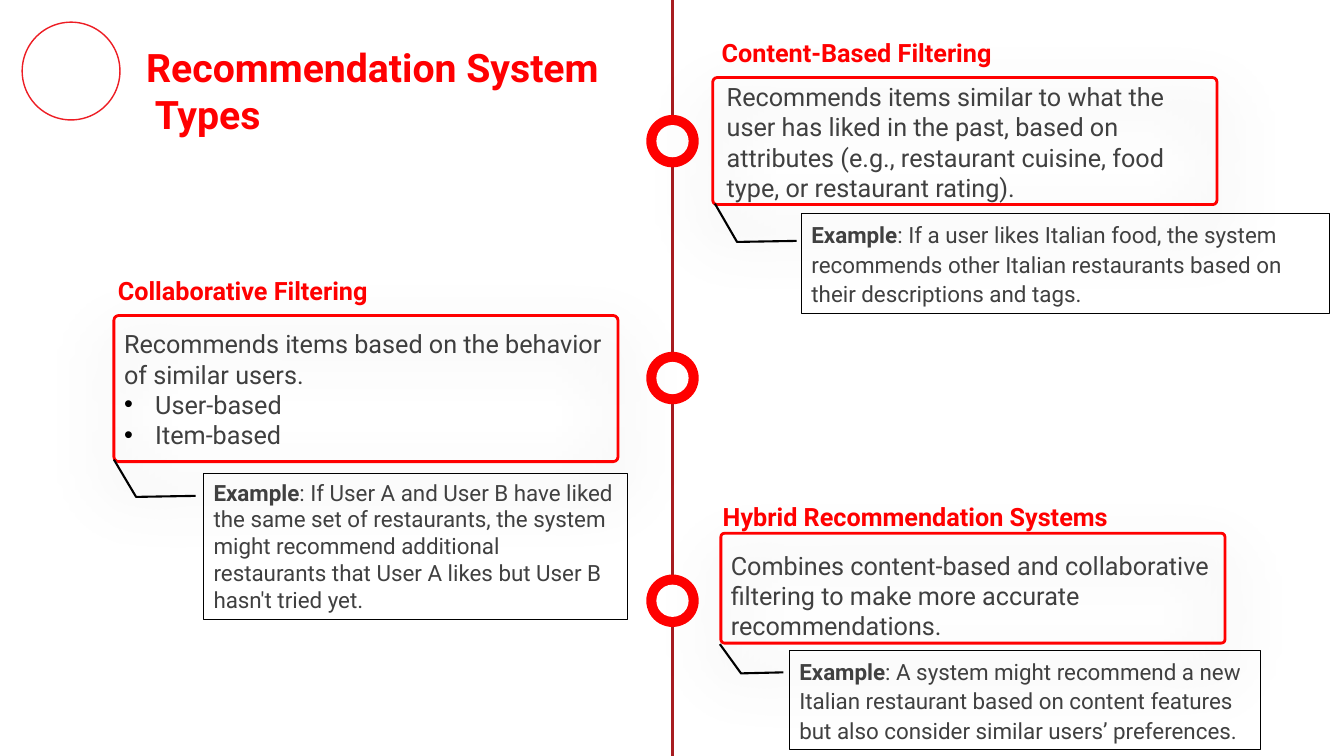
from lxml import etree
from pptx import Presentation
from pptx.dml.color import RGBColor
from pptx.enum.shapes import MSO_CONNECTOR, MSO_SHAPE
from pptx.enum.text import MSO_ANCHOR, MSO_AUTO_SIZE, PP_ALIGN
from pptx.oxml.ns import qn
from pptx.util import Pt

PX = 9144  # EMU per px, 100 px to the inch
RED = RGBColor(0xFF, 0x00, 0x00)
TITLE_RED = RGBColor(0xFF, 0x00, 0x01)
RING_RED = RGBColor(0xED, 0x1D, 0x24)
AXIS_RED = RGBColor(0xA7, 0x1C, 0x20)
GREY = RGBColor(0x40, 0x40, 0x40)
BLACK = RGBColor(0x00, 0x00, 0x00)
WHITE = RGBColor(0xFF, 0xFF, 0xFF)
OVAL, RECT, ROUNDED = MSO_SHAPE.OVAL, MSO_SHAPE.RECTANGLE, MSO_SHAPE.ROUNDED_RECTANGLE
STRAIGHT = MSO_CONNECTOR.STRAIGHT
LEFT, TOP, NO_FIT = PP_ALIGN.LEFT, MSO_ANCHOR.TOP, MSO_AUTO_SIZE.NONE
BULLET_INDENT = 31


class SlideBuilder:
    """Holds the style and the current slide."""

    font = "Roboto"

    def __init__(self, slide):
        self.slide = slide
        self.shapes = slide.shapes

    def shape(self, kind, box, fill=None, line=None, width=1):
        shape = self.shapes.add_shape(kind, *(v * PX for v in box))
        shape.shadow.inherit = False
        self.paint(shape, fill, line, width)
        return shape

    def paint(self, shape, fill, line, width):
        for part, color in ((shape.fill, fill), (shape.line.fill, line)):
            if color is None:
                part.background()
            else:
                part.solid()
                part.fore_color.rgb = color
        if line is not None:
            shape.line.width = Pt(width)

    def axis(self, x, top, bottom):
        axis = self.shapes.add_connector(STRAIGHT, x * PX, top * PX, x * PX, bottom * PX)
        axis.line.color.rgb = AXIS_RED
        axis.line.width = Pt(2)
        etree.SubElement(axis._element.spPr, qn("a:effectLst"))

    def marker(self, x, y):
        for radius, color in ((26, RED), (16, WHITE)):
            self.shape(OVAL, (x - radius, y - radius, 2 * radius, 2 * radius), color)

    def panel(self, box):
        panel = self.shape(ROUNDED, box, line=RED, width=2)
        panel.adjustments[0] = 0.033
        effects = panel._element.spPr.find(qn("a:effectLst"))
        shadow = etree.SubElement(effects, qn("a:outerShdw"), blurRad=str(Pt(46)),
                                  dist=str(Pt(19)), dir="5400000", rotWithShape="0")
        color = etree.SubElement(shadow, qn("a:srgbClr"), val=str(BLACK))
        etree.SubElement(color, qn("a:alpha"), val="40000")

    def leader(self, points):
        start, *rest = points
        builder = self.shapes.build_freeform(*start, scale=PX)
        builder.add_line_segments(rest, close=False)
        leader = builder.convert_to_shape()
        leader.shadow.inherit = False
        self.paint(leader, None, BLACK, 1.5)

    def frame(self, shape, inset=5):
        frame = shape.text_frame
        frame.word_wrap = True
        frame.auto_size = NO_FIT
        frame.vertical_anchor = TOP
        frame.margin_left = frame.margin_right = 10 * PX
        frame.margin_top = frame.margin_bottom = inset * PX
        return frame

    def format(self, paragraph, size, color, bold=False, spacing=1.0):
        paragraph.alignment = LEFT
        paragraph.line_spacing = spacing
        paragraph.space_before = paragraph.space_after = Pt(0)
        for run in paragraph.runs:
            run.font.name, run.font.size = self.font, Pt(size)
            run.font.color.rgb, run.font.bold = color, bold

    def text(self, box, words, size, color, bold=False):
        frame = self.frame(self.shapes.add_textbox(*(v * PX for v in box)))
        frame.text = words
        self.format(frame.paragraphs[0], size, color, bold)

    def place(self, placeholder, box, inset=5):
        placeholder.left, placeholder.top, placeholder.width, placeholder.height = (
            v * PX for v in box)
        return self.frame(placeholder, inset)

    def title(self, box, words):
        frame = self.place(self.shapes.title, box, inset=10)
        frame.text = words
        self.format(frame.paragraphs[0], 28, TITLE_RED, True)

    def body(self, box, intro, items):
        frame = self.place(self.slide.placeholders[1], box)
        frame.text = "\n".join([intro, *items])
        for index, paragraph in enumerate(frame.paragraphs):
            indent = BULLET_INDENT * PX if index else 0
            props = paragraph._p.get_or_add_pPr()
            props.set("marL", str(indent))
            props.set("indent", str(-indent))
            if index:
                color = etree.SubElement(props, qn("a:buClr"))
                etree.SubElement(color, qn("a:srgbClr"), val=str(BLACK))
                etree.SubElement(props, qn("a:buFont"), typeface="Arial")
                etree.SubElement(props, qn("a:buChar"), char="•")
            else:
                etree.SubElement(props, qn("a:buNone"))
            self.format(paragraph, 18, GREY)

    def example(self, box, words, spacing):
        frame = self.frame(self.shape(RECT, box, line=BLACK, width=0.75))
        paragraph = frame.paragraphs[0]
        label, detail = paragraph.add_run(), paragraph.add_run()
        label.text, detail.text = "Example", ": " + words
        self.format(paragraph, 16, GREY, spacing=spacing)
        label.font.bold = True


def main():
    deck = Presentation()
    deck.slide_width, deck.slide_height = 1333 * PX, 750 * PX
    page = SlideBuilder(deck.slides.add_slide(deck.slide_layouts[1]))

    # Title and its ring
    page.shape(OVAL, (22, 22, 97, 97), line=RING_RED)
    page.title((135, 33, 477, 114), "Recommendation System\v Types")

    # Timeline
    page.axis(667, 0, 750)
    for y in (140, 375, 596):
        page.marker(667, y)

    # Framed panels
    for panel in ((113, 313, 500, 145), (707, 77, 500, 126), (715, 529, 500, 109)):
        page.panel(panel)

    # Headings
    for box, heading in (
        ((706, 32, 345, 40), "Content-Based Filtering"),
        ((107, 268, 290, 40), "Collaborative Filtering"),
        ((707, 492, 474, 40), "Hybrid Recommendation Systems"),
    ):
        page.text(box, heading, 18, RED, bold=True)

    # Definitions
    page.body((113, 321, 500, 130),
              "Recommends items based on the behavior of similar users.",
              ["User-based", "Item-based"])
    for box, definition in (
        ((711, 76, 500, 127),
         "Recommends items similar to what the user has liked in the past, based on "
         "attributes (e.g., restaurant cuisine, food type, or restaurant rating)."),
        ((715, 541, 500, 97),
         "Combines content-based and collaborative filtering to make more accurate "
         "recommendations."),
    ):
        page.text(box, definition, 18, GREY)

    # Examples with their leader lines
    for leader, box, spacing, words in (
        (((790, 239), (731, 240), (709, 202)), (795, 212, 524, 99), 1.1,
         "If a user likes Italian food, the system recommends other Italian "
         "restaurants based on their descriptions and tags."),
        (((194, 492), (135, 493), (113, 456)), (202, 470, 420, 145), 1.0,
         "If User A and User B have liked the same set of restaurants, the system "
         "might recommend additional restaurants that User A likes but User B "
         "hasn't tried yet."),
        (((777, 667), (735, 668), (714, 639)), (783, 645, 467, 99), 1.1,
         "A system might recommend a new Italian restaurant based on content "
         "features but also consider similar users’ preferences."),
    ):
        page.leader(leader)
        page.example(box, words, spacing)

    deck.save("out.pptx")


if __name__ == "__main__":
    main()
